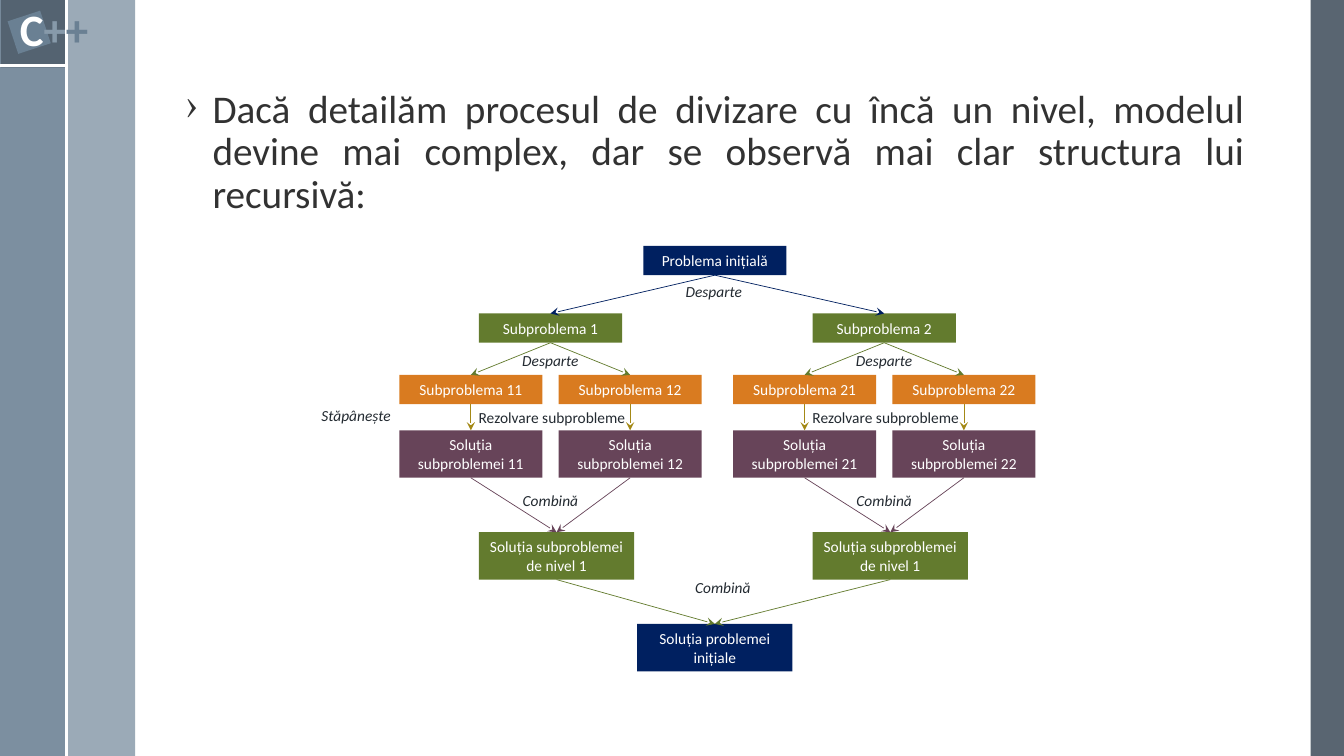
from pptx import Presentation
from pptx.dml.color import RGBColor
from pptx.enum.shapes import MSO_CONNECTOR, MSO_SHAPE
from pptx.enum.text import MSO_ANCHOR, MSO_AUTO_SIZE, PP_ALIGN
from pptx.oxml.ns import qn
from pptx.oxml.xmlchemy import OxmlElement
from pptx.util import Pt

PX = 9144
WIDE, HIGH = 1333, 750
RECT = MSO_SHAPE.RECTANGLE
LINE = MSO_CONNECTOR.STRAIGHT
MIDDLE, TOP = MSO_ANCHOR.MIDDLE, MSO_ANCHOR.TOP
LEFT, CENTER, JUSTIFY = PP_ALIGN.LEFT, PP_ALIGN.CENTER, PP_ALIGN.JUSTIFY
FIXED = MSO_AUTO_SIZE.NONE
BELOW, ABOVE = 2, 0

COLORS = {
    "white": "FFFFFF", "dark": "475562", "pale": "9BAAB7", "steel": "6A8093",
    "mist": "879AAA", "body": "323232", "label": "232A31", "navy": "002060",
    "green": "637B2E", "orange": "D97B20", "plum": "674459", "gold": "A48916",
}
NODE = {"size": Pt(11), "name": "Calibri"}
NOTE = {**NODE, "italic": True}
BODY = {"size": Pt(28), "name": "Calibri"}
MARK = {"size": Pt(32), "name": "Calibri", "bold": True}


def color(key):
    """Return the named colour."""
    return RGBColor.from_string(COLORS[key])


def scale(*sizes):
    """Turn px lengths into EMU."""
    return [size * PX for size in sizes]


def style(item, values):
    """Set each format value on the item."""
    for name, value in values.items():
        setattr(item, name, value)


def write(para, text, font, tint):
    """Add one run of text to a paragraph."""
    run = para.add_run()
    run.text = text
    style(run.font, font)
    run.font.color.rgb = color(tint)


def block(slide, box, tint, alpha=100):
    """Add a plain filled rectangle."""
    shape = slide.shapes.add_shape(RECT, *scale(*box))
    shape.shadow.inherit = False
    shape.fill.solid()
    shape.fill.fore_color.rgb = color(tint)
    shape.line.fill.background()
    if alpha < 100:
        fade = OxmlElement("a:alpha")
        fade.set("val", str(alpha * 1000))
        next(shape._element.spPr.iter(qn("a:srgbClr"))).append(fade)
    return shape


def node(slide, box, text, tint):
    """Add a coloured box of the diagram."""
    shape = block(slide, box, tint)
    style(shape.text_frame, {"word_wrap": True, "vertical_anchor": MIDDLE})
    para = shape.text_frame.paragraphs[0]
    para.alignment = CENTER
    write(para, text, NODE, "white")
    return shape


def frame(slide, box, align, wrap=True):
    """Add a text box and return its frame and first paragraph."""
    area = slide.shapes.add_textbox(*scale(*box)).text_frame
    style(area, {"word_wrap": wrap, "auto_size": FIXED, "vertical_anchor": TOP})
    para = area.paragraphs[0]
    para.alignment = align
    return area, para


def label(slide, box, text, font=NOTE, align=CENTER):
    """Add a caption between the boxes."""
    write(frame(slide, box, align)[1], text, font, "label")


def rule(slide, ends, tint, width):
    """Add a straight line without a shadow."""
    line = slide.shapes.add_connector(LINE, *scale(*ends))
    line.line.color.rgb = color(tint)
    line.line.width = Pt(width)
    line._element.spPr.append(OxmlElement("a:effectLst"))
    return line


def arrow(slide, start, end, tint):
    """Join the bottom of one box to the top of another."""
    line = rule(slide, (0, 0, 0, 0), tint, 0.5)
    line.begin_connect(start, BELOW)
    line.end_connect(end, ABOVE)
    tip = OxmlElement("a:tailEnd")
    tip.set("type", "stealth")
    line.line._get_or_add_ln().append(tip)


def side(slide):
    """Draw the side bands and the corner mark."""
    block(slide, (1300, 0, 33, HIGH), "dark", 90)
    block(slide, (67, 0, 67, HIGH), "pale")
    block(slide, (0, 0, 67, HIGH), "steel", 88)
    block(slide, (1, 0, 66, 67), "dark", 75)
    rule(slide, (0, 65, 66, 65), "white", 1.5)
    rule(slide, (66, 0, 66, HIGH), "white", 1.5)
    block(slide, (12, 15, 34, 34), "steel").rotation = 341.9
    area, para = frame(slide, (19, 2, 69, 54), CENTER, False)
    edges = ("left", "top", "right", "bottom")
    style(area, {f"margin_{edge}": 0 for edge in edges})
    for text, tint in (("C", "white"), ("+", "mist"), ("+", "steel")):
        write(para, text, MARK, tint)


def intro(slide, box):
    """Write the bulleted paragraph."""
    para = frame(slide, box, JUSTIFY)[1]
    style(para, {"line_spacing": 0.9, "space_before": Pt(14)})
    props = para._p.get_or_add_pPr()
    props.set("marL", str(27 * PX))
    props.set("indent", str(-27 * PX))
    dot = OxmlElement("a:buChar")
    dot.set("char", "›")
    props.append(dot)
    write(para, "Dacă detailăm procesul de divizare cu încă un nivel, modelul "
          "devine mai complex, dar se observă mai clar structura lui recursivă:",
          BODY, "body")


def branch(slide, x, y, num):
    """Draw one half of the tree and return its first and last box."""
    head = node(slide, (x + 79, y, 142, 29), f"Subproblema {num}", "green")
    foot = node(slide, (x + 79, y + 217, 154, 47),
                "Soluția subproblemei de nivel 1", "green")
    for part in (1, 2):
        left = x + (part - 1) * 158
        leaf = node(slide, (left, y + 61, 142, 29),
                    f"Subproblema {num}{part}", "orange")
        done = node(slide, (left, y + 116, 142, 47),
                    f"Soluția subproblemei {num}{part}", "plum")
        arrow(slide, head, leaf, "green")
        arrow(slide, leaf, done, "gold")
        arrow(slide, done, foot, "plum")
    label(slide, (x + 97, y + 32, 106, 29), "Desparte")
    label(slide, (x + 67, y + 89, 169, 29), "Rezolvare subprobleme", NODE)
    label(slide, (x + 97, y + 171, 106, 29), "Combină")
    return head, foot


def tree(slide, x, y):
    """Draw the whole divide and conquer diagram."""
    root = node(slide, (x + 329, y, 142, 29), "Problema inițială", "navy")
    last = node(slide, (x + 323, y + 375, 154, 47),
                "Soluția problemei inițiale", "navy")
    for num in (1, 2):
        head, foot = branch(slide, x + 87 + (num - 1) * 331, y + 67, num)
        arrow(slide, root, head, "navy")
        arrow(slide, foot, last, "green")
    label(slide, (x + 346, y + 31, 106, 29), "Desparte")
    label(slide, (x + 355, y + 325, 106, 29), "Combină")
    label(slide, (x, y + 154, 106, 29), "Stăpânește", align=LEFT)


def main():
    """Build the slide and save it."""
    deck = Presentation()
    deck.slide_width, deck.slide_height = scale(WIDE, HIGH)
    slide = deck.slides.add_slide(deck.slide_layouts[6])
    side(slide)
    intro(slide, (174, 84, 1070, 591))
    tree(slide, 309, 244)
    deck.save("out.pptx")


if __name__ == "__main__":
    main()
